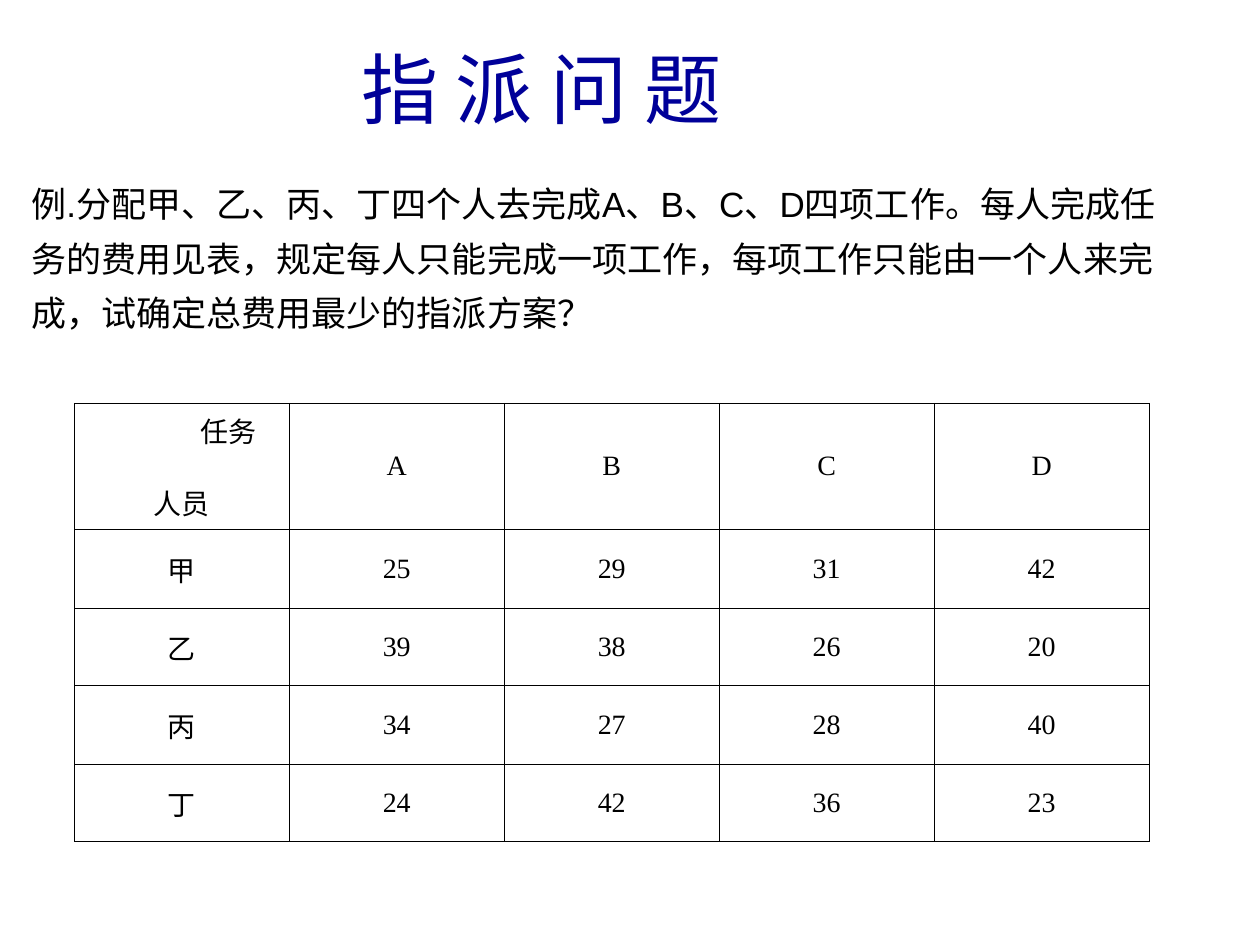
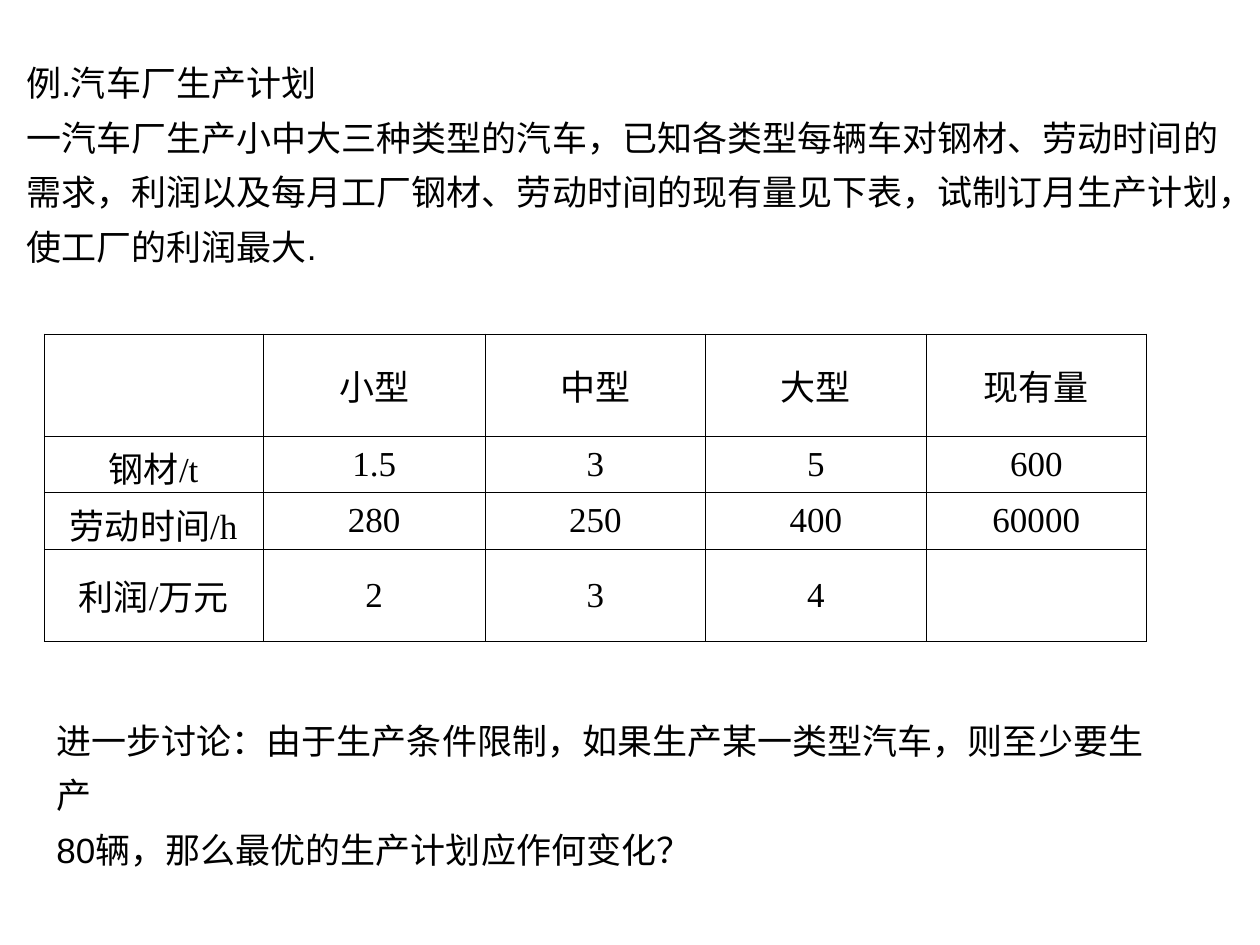
"""Builds two slides on assignment and production planning problems."""
import pptx
import pptx.dml.color
import pptx.enum.text
import pptx.oxml
import pptx.oxml.ns
import pptx.util

Inches = pptx.util.Inches
Pt = pptx.util.Pt
RGBColor = pptx.dml.color.RGBColor
ALIGN = pptx.enum.text.PP_ALIGN
ANCHOR = pptx.enum.text.MSO_ANCHOR
FIT = pptx.enum.text.MSO_AUTO_SIZE.SHAPE_TO_FIT_TEXT

NAVY = RGBColor(0x00, 0x00, 0x99)
BLACK = RGBColor(0x00, 0x00, 0x00)
SANS = "Arial"
SERIF = "Times New Roman"
SIDES = ("lnL", "lnR", "lnT", "lnB")
RULE = Pt(0.45)


def write(shape, text, size, color, space):
    frame = shape.text_frame
    frame.text = text
    frame.word_wrap = False
    frame.auto_size = FIT
    frame.vertical_anchor = ANCHOR.TOP
    for para in frame.paragraphs:
        para.alignment = ALIGN.LEFT
        para.line_spacing = space
        for run in para.runs:
            run.font.size = Pt(size)
            run.font.name = SANS
            run.font.color.rgb = color


def grid(slide, left, top, cols, rows, size, data):
    frame = slide.shapes.add_table(
        len(rows), len(cols), Inches(left), Inches(top),
        Inches(sum(cols)), Inches(sum(rows)))
    table = frame.table
    table.first_row = False
    table.horz_banding = False
    for col, width in zip(table.columns, cols):
        col.width = Inches(width)
    for row, height, texts in zip(table.rows, rows, data):
        row.height = Inches(height)
        for cell, text in zip(row.cells, texts):
            cell.fill.background()
            cell.vertical_anchor = ANCHOR.MIDDLE
            props = cell._tc.get_or_add_tcPr()
            for spot, side in enumerate(SIDES):
                line = pptx.oxml.parse_xml(
                    f'<a:{side} {pptx.oxml.ns.nsdecls("a")} w="{RULE}">'
                    f'<a:solidFill><a:srgbClr val="{BLACK}"/></a:solidFill>'
                    f'</a:{side}>')
                props.insert(spot, line)
            cell.text_frame.text = text
            for para in cell.text_frame.paragraphs:
                para.alignment = ALIGN.CENTER
                for run in para.runs:
                    run.font.size = Pt(size)
                    run.font.name = SERIF
                    run.font.color.rgb = BLACK
    return table


deck = pptx.Presentation()
deck.slide_width = Inches(10)
deck.slide_height = Inches(7.5)

task = deck.slides.add_slide(deck.slide_layouts[5])
title = task.shapes.title
title.left, title.top = Inches(2.77), Inches(0.28)
title.width, title.height = Inches(3.06), Inches(0.84)
write(title, "指 派 问 题", 44, NAVY, 1.0)

plan = deck.slides.add_slide(deck.slide_layouts[6])

notes = [
    (task, 0.15, 1.3, 9.79, 1.4,
     "例.分配甲、乙、丙、丁四个人去完成A、B、C、D四项工作。每人完成任\n"
     "务的费用见表，规定每人只能完成一项工作，每项工作只能由一个人来完\n"
     "成，试确定总费用最少的指派方案？"),
    (plan, 0.11, 0.34, 9.94, 1.84,
     "例.汽车厂生产计划\n"
     "一汽车厂生产小中大三种类型的汽车，已知各类型每辆车对钢材、劳动时间的\n"
     "需求，利润以及每月工厂钢材、劳动时间的现有量见下表，试制订月生产计划，\n"
     "使工厂的利润最大."),
    (plan, 0.35, 5.56, 9.1, 0.97,
     "进一步讨论：由于生产条件限制，如果生产某一类型汽车，则至少要生产\n"
     "80辆，那么最优的生产计划应作何变化？"),
]
for slide, left, top, width, height, text in notes:
    box = slide.shapes.add_textbox(
        Inches(left), Inches(top), Inches(width), Inches(height))
    write(box, text, 20, BLACK, 1.3)

costs = grid(task, 0.59, 3.2, [8.53 / 5] * 5, [1, 0.63, 0.61, 0.63, 0.61], 16, [
    ["任务\n人员", "A", "B", "C", "D"],
    ["甲", "25", "29", "31", "42"],
    ["乙", "39", "38", "26", "20"],
    ["丙", "34", "27", "28", "40"],
    ["丁", "24", "42", "36", "23"],
])
upper, lower = costs.cell(0, 0).text_frame.paragraphs
upper._p.get_or_add_pPr().set("marL", str(Inches(0.74)))
lower.space_before = Pt(18)

grid(plan, 0.35, 2.65, [1.74, 1.76, 1.75, 1.75, 1.75], [0.81, 0.45, 0.45, 0.73], 20, [
    ["", "小型", "中型", "大型", "现有量"],
    ["钢材/t", "1.5", "3", "5", "600"],
    ["劳动时间/h", "280", "250", "400", "60000"],
    ["利润/万元", "2", "3", "4", ""],
])

deck.save("out.pptx")
